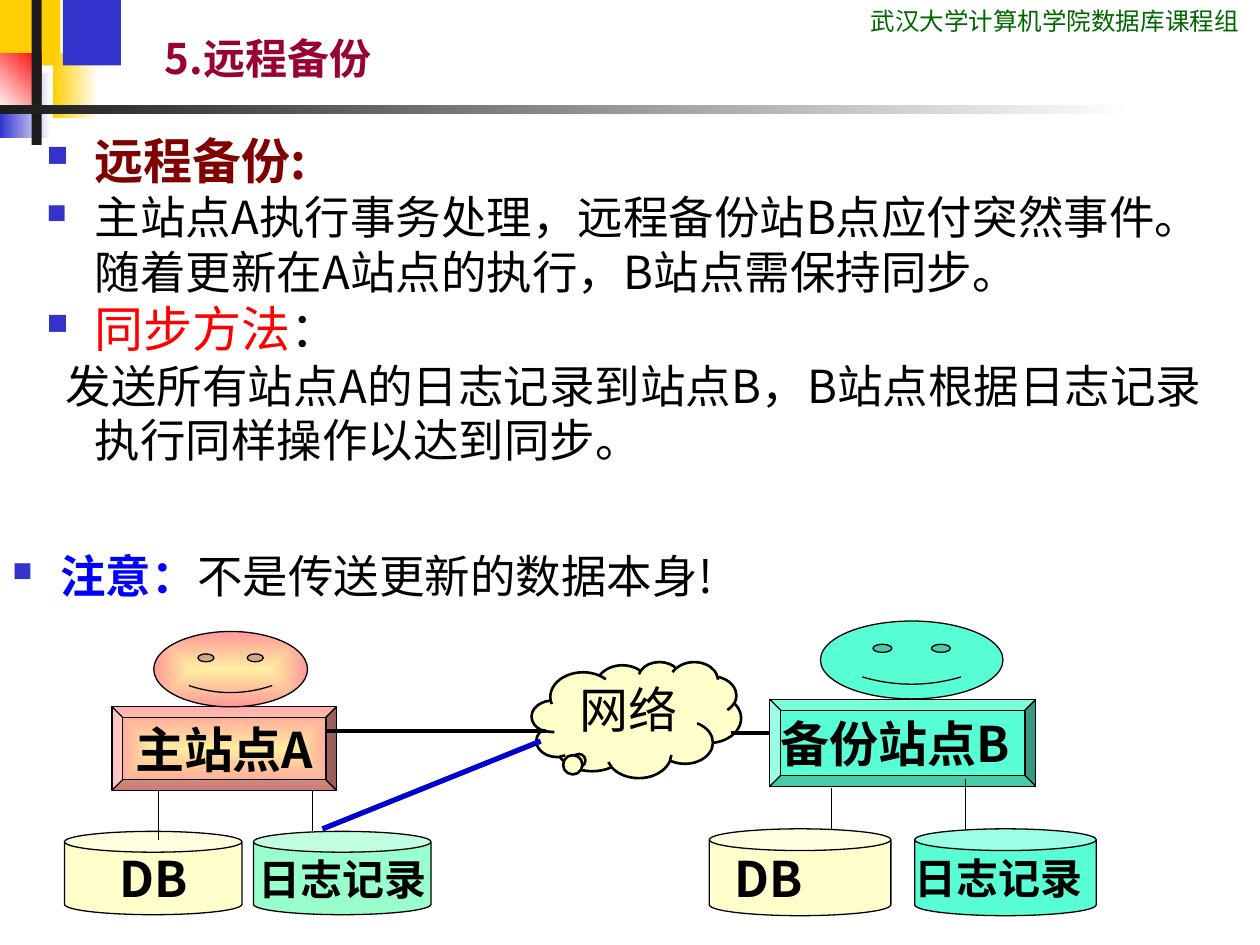
from lxml.etree import SubElement
from pptx import Presentation
from pptx.dml.color import RGBColor
from pptx.enum.shapes import MSO_CONNECTOR, MSO_SHAPE as Shape
from pptx.enum.text import MSO_ANCHOR as Anchor, PP_ALIGN as Align
from pptx.oxml.ns import qn
from pptx.util import Cm, Pt

SANS, LATIN, CONDENSED = "Noto Sans CJK SC", "Lato", "Roboto Condensed"
BLACK, CREAM, MINT, TEAL = "000000", "FFFFCC", "99FFCC", "59FFD4"
GLOW = ("FFEDA1", "FF9999", None)  # from, to, angle (None: from the centre)

# Content, lengths in cm
HEADER = "武汉大学计算机学院数据库课程组"
TITLE = "5.远程备份"
DECORATION = [  # left, top, width, height, fill
    (0, 0, 1.22, 1.32, "FFCF01"),
    (1.07, 1.07, 0.91, 1.32, ("FFFFFF", "FFCF01", 180)),
    (1.27, 0, 1.17, 1.32, "3333CC"),
    (0, 1.47, 1.02, 1.32, ("FFFFFF", "3333CC", 180)),
    (0, 1.07, 0.84, 1.17, ("FF0000", "FFFFFF", 135)),
    (0.64, 0, 0.2, 2.92, "1C1C1C"),
    (0, 2.11, 22.86, 0.2, ("FFFFFF", "1C1C1C", 180)),
]
BODY = [  # bulleted, runs of (text, size, colour, bold)
    (True, [("远程备份:", 28, "800000", True)]),
    (True, [("主站点A执行事务处理，远程备份站B点应付突然事件。"
             "随着更新在A站点的执行，B站点需保持同步。", 26, BLACK, False)]),
    (True, [("同步方法", 28, "FF0000", False), ("：", 28, BLACK, False)]),
    (False, [("发送所有站点A的日志记录到站点B，B站点根据日志记录"
              "执行同样操作以达到同步。", 26, BLACK, False)]),
]
NOTE = [(True, [("注意：", 26, "0000FF", True),
                ("不是传送更新的数据本身!", 26, BLACK, False)])]

# Diagram: ("shape", kind, box, fill, text, size, align, left inset)
#       or ("line", start, end, colour, width)
PRIMARY_SITE = [
    ("shape", Shape.CAN, (1.3, 16.76, 3.58, 1.68), CREAM, "DB", 28, Align.CENTER, 0),
    ("shape", Shape.BEVEL, (2.26, 14.25, 4.52, 1.68), GLOW, "主站点A", 28, Align.CENTER, 0),
    ("shape", Shape.SMILEY_FACE, (3.1, 12.73, 3.1, 1.52), GLOW, "", 28, Align.CENTER, 0),
    ("shape", Shape.CAN, (5.11, 16.76, 3.58, 1.68), MINT, "日志记录", 24, Align.CENTER, 0),
    ("line", (3.2, 15.93), (3.2, 16.94), BLACK, 0.75),
    ("line", (6.3, 15.93), (6.3, 16.76), BLACK, 0.75),
]
NETWORK = [
    ("shape", Shape.CLOUD_CALLOUT, (10.72, 13.34, 4.22, 2.34), CREAM, "网络", 28, Align.CENTER, 0),
    ("line", (6.58, 14.73), (11, 14.73), BLACK, 2.25),
    ("line", (6.5, 16.71), (10.9, 14.94), "0000CC", 3),
    ("line", (14.73, 14.78), (16, 14.78), BLACK, 2.25),
]
BACKUP_SITE = [
    ("shape", Shape.BEVEL, (15.52, 14.1, 5.36, 1.75), TEAL, "备份站点B", 28, Align.LEFT, 0),
    ("shape", Shape.SMILEY_FACE, (16.54, 12.52, 3.68, 1.57), TEAL, "", 28, Align.LEFT, 0),
    ("line", (16.76, 15.88), (16.76, 16.94), BLACK, 0.75),
    ("line", (19.46, 15.7), (19.46, 16.74), BLACK, 0.75),
    ("shape", Shape.CAN, (14.3, 16.71, 3.66, 1.75), CREAM, "DB", 28, Align.LEFT, 0.5),
    ("shape", Shape.CAN, (18.44, 16.71, 3.66, 1.75), TEAL, "日志记录", 24, Align.LEFT, 0),
]


def color(value):
    return RGBColor.from_string(value)


def style_font(font, size, value, bold=False, name=SANS):
    font.size, font.bold, font.name = Pt(size), bold, name
    font.color.rgb = color(value)


def set_fill(shape, fill):
    if isinstance(fill, str):
        shape.fill.solid()
        shape.fill.fore_color.rgb = color(fill)
        return
    first, last, angle = fill
    shape.fill.gradient()
    for stop, value in zip(shape.fill.gradient_stops, (first, last)):
        stop.color.rgb = color(value)
    gradient = shape.element.spPr.find(qn("a:gradFill"))
    direction = gradient.find(qn("a:lin"))
    if angle is not None:
        direction.set("ang", str(angle * 60000))
        direction.set("scaled", "0")
        return
    gradient.remove(direction)
    centre = SubElement(gradient, qn("a:path"), path="rect")
    SubElement(centre, qn("a:fillToRect"), l="50000", t="50000", r="50000", b="50000")


def add_shape(slide, kind, box, fill):
    shape = slide.shapes.add_shape(kind, *map(Cm, box))
    shape.shadow.inherit = False
    set_fill(shape, fill)
    shape.line.fill.background()
    return shape


def add_node(slide, kind, box, fill, text, size, align, inset):
    shape = add_shape(slide, kind, box, fill)
    shape.line.color.rgb = color(BLACK)
    cloud = kind == Shape.CLOUD_CALLOUT
    shape.line.width = Pt(1.5 if cloud else 0.75)
    if cloud:
        shape.adjustments[0], shape.adjustments[1] = -0.27, 0.345
    if not text:
        return
    frame = shape.text_frame
    frame.margin_top = frame.margin_right = frame.margin_bottom = 0
    frame.margin_left = Cm(inset)
    frame.word_wrap = cloud
    frame.vertical_anchor = Anchor.TOP if cloud else Anchor.MIDDLE
    paragraph = frame.paragraphs[0]
    paragraph.text, paragraph.alignment = text, align
    style_font(paragraph.font, size, BLACK, not cloud, LATIN if cloud else SANS)


def add_line(slide, start, end, value, width):
    line = slide.shapes.add_connector(MSO_CONNECTOR.STRAIGHT, *map(Cm, start + end))
    line.line.color.rgb = color(value)
    line.line.width = Pt(width)
    SubElement(line.element.spPr, qn("a:effectLst"))


def add_text(slide, box, paragraphs):
    frame = slide.shapes.add_textbox(*map(Cm, box)).text_frame
    frame.word_wrap = True
    for index, (bulleted, runs) in enumerate(paragraphs):
        paragraph = frame.add_paragraph() if index else frame.paragraphs[0]
        properties = paragraph._p.get_or_add_pPr()
        properties.set("marL", str(Cm(0.97)))
        properties.set("indent", str(Cm(-0.97 if bulleted else -0.58)))
        if bulleted:
            tint = SubElement(properties, qn("a:buClr"))
            SubElement(tint, qn("a:srgbClr"), val="3333CC")
            SubElement(properties, qn("a:buSzPct"), val="60000")
            SubElement(properties, qn("a:buChar"), char="■")
        paragraph.line_spacing = Pt(1.2 * runs[0][1])
        for text, *style in runs:
            run = paragraph.add_run()
            run.text = text
            style_font(run.font, *style)


def main():
    presentation = Presentation()
    presentation.slide_width, presentation.slide_height = Cm(25.4), Cm(19.05)
    slide = presentation.slides.add_slide(presentation.slide_layouts[5])

    # Corner blocks and header
    for *box, fill in DECORATION:
        add_shape(slide, Shape.RECTANGLE, box, fill)
    header = slide.shapes.add_textbox(Cm(17.3), 0, Cm(8.1), Cm(0.86)).text_frame
    header.word_wrap = True
    header.text = HEADER
    style_font(header.paragraphs[0].font, 14, "006600", name=CONDENSED)

    # Title
    title = slide.shapes.title
    title.left, title.top, title.width, title.height = map(Cm, (3.07, 0.25, 9.6, 1.55))
    title.text_frame.text = TITLE
    title.text_frame.vertical_anchor = Anchor.BOTTOM
    paragraph = title.text_frame.paragraphs[0]
    paragraph.alignment = Align.LEFT
    style_font(paragraph.font, 24, "990033", True)

    # Body text
    add_text(slide, (0.69, 2.51, 24.2, 9.2), BODY)
    add_text(slide, (0, 10.92, 16.8, 1.6), NOTE)

    # Diagram
    draw = {"shape": add_node, "line": add_line}
    for kind, *details in PRIMARY_SITE + NETWORK + BACKUP_SITE:
        draw[kind](slide, *details)

    presentation.save("out.pptx")


if __name__ == "__main__":
    main()
